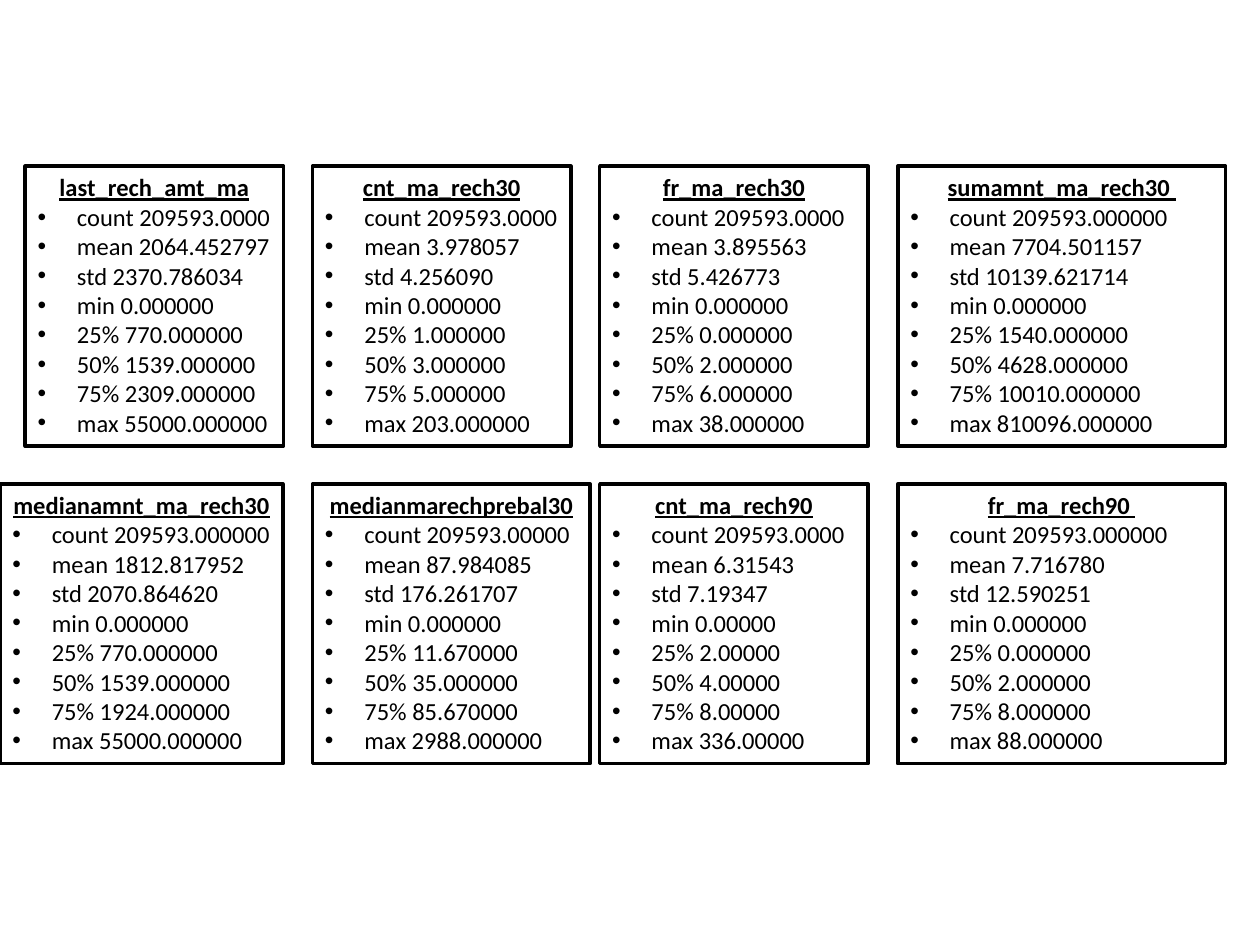
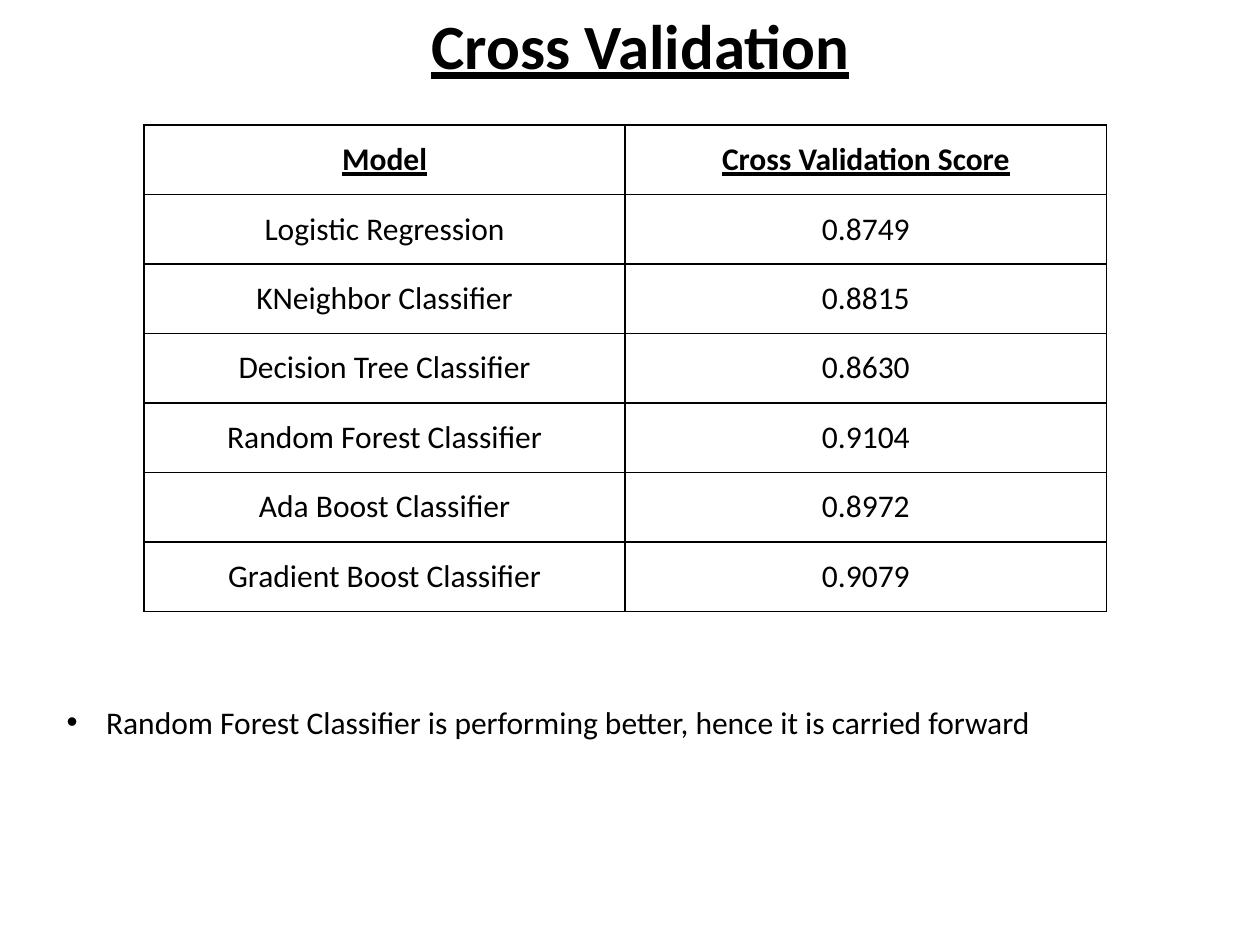
from lxml.etree import SubElement
from pptx import Presentation
from pptx.dml.color import RGBColor
from pptx.enum.shapes import MSO_SHAPE
from pptx.enum.text import MSO_ANCHOR, MSO_AUTO_SIZE, PP_ALIGN
from pptx.oxml import parse_xml
from pptx.oxml.ns import nsdecls, qn
from pptx.util import Pt

FONT = "Calibri"
COLOURS = {"ink": "000000", "paper": "FFFFFF"}
HANGING = 22.5

STATISTICS = ["count", "mean", "std", "min", "25%", "50%", "75%", "max"]
PANEL_HEIGHT = 160
UPPER_TOP, LOWER_TOP = 95, 276.5
PANELS = [
    (14.4, UPPER_TOP, 147.6, "last_rech_amt_ma",
     "209593.0000 2064.452797 2370.786034 0.000000 770.000000 1539.000000 2309.000000 55000.000000"),
    (178.6, UPPER_TOP, 147.6, "cnt_ma_rech30",
     "209593.0000 3.978057 4.256090 0.000000 1.000000 3.000000 5.000000 203.000000"),
    (342.7, UPPER_TOP, 153.4, "fr_ma_rech30",
     "209593.0000 3.895563 5.426773 0.000000 0.000000 2.000000 6.000000 38.000000"),
    (513.1, UPPER_TOP, 187.2, "sumamnt_ma_rech30 ",
     "209593.000000 7704.501157 10139.621714 0.000000 1540.000000 4628.000000 10010.000000 810096.000000"),
    (0, LOWER_TOP, 161.6, "medianamnt_ma_rech30",
     "209593.000000 1812.817952 2070.864620 0.000000 770.000000 1539.000000 1924.000000 55000.000000"),
    (178.6, LOWER_TOP, 158.6, "medianmarechprebal30",
     "209593.00000 87.984085 176.261707 0.000000 11.670000 35.000000 85.670000 2988.000000"),
    (342.7, LOWER_TOP, 153.4, "cnt_ma_rech90",
     "209593.0000 6.31543 7.19347 0.00000 2.00000 4.00000 8.00000 336.00000"),
    (513.1, LOWER_TOP, 187.2, "fr_ma_rech90 ",
     "209593.000000 7.716780 12.590251 0.000000 0.000000 2.000000 8.000000 88.000000"),
]

SCORES = [
    ("Model", "Cross Validation Score"),
    ("Logistic Regression", "0.8749"),
    ("KNeighbor Classifier", "0.8815"),
    ("Decision Tree Classifier", "0.8630"),
    ("Random Forest Classifier", "0.9104"),
    ("Ada Boost Classifier", "0.8972"),
    ("Gradient Boost Classifier", "0.9079"),
]
COLUMN_WIDTH, ROW_HEIGHT = 275, 39.7


def colour(name):
    """Return a palette colour."""
    return RGBColor.from_string(COLOURS[name])


def write(paragraph, text, size, heading=False):
    """Fill a paragraph, bold and underlined when it is a heading."""
    paragraph.text = text
    for run in paragraph.runs:
        run.font.name = FONT
        run.font.size = Pt(size)
        run.font.bold = heading
        run.font.underline = heading
        run.font.color.rgb = colour("ink")


def write_centred(paragraph, text, size, heading=False):
    """Fill a paragraph and centre it."""
    write(paragraph, text, size, heading)
    paragraph.alignment = PP_ALIGN.CENTER


def write_bullet(paragraph, text, size):
    """Fill a paragraph and give it a hanging bullet."""
    write(paragraph, text, size)
    paragraph.alignment = PP_ALIGN.LEFT
    properties = paragraph._p.get_or_add_pPr()
    properties.set("marL", str(Pt(HANGING)))
    properties.set("indent", str(-Pt(HANGING)))
    SubElement(properties, qn("a:buFont")).set("typeface", "Arial")
    SubElement(properties, qn("a:buChar")).set("char", "•")


def fit_frame(frame):
    """Wrap a text frame from the top and let its shape fit the text."""
    frame.word_wrap = True
    frame.vertical_anchor = MSO_ANCHOR.TOP
    frame.auto_size = MSO_AUTO_SIZE.SHAPE_TO_FIT_TEXT


def add_panel(slide, left, top, width, variable, values):
    """Draw an outlined panel listing the statistics of one variable."""
    panel = slide.shapes.add_shape(
        MSO_SHAPE.RECTANGLE, Pt(left), Pt(top), Pt(width), Pt(PANEL_HEIGHT))
    panel.shadow.inherit = False
    panel.fill.solid()
    panel.fill.fore_color.rgb = colour("paper")
    panel.line.color.rgb = colour("ink")
    panel.line.width = Pt(2)
    frame = panel.text_frame
    fit_frame(frame)
    write_centred(frame.paragraphs[0], variable, 14, heading=True)
    for statistic, value in zip(STATISTICS, values.split()):
        write_bullet(frame.add_paragraph(), f"{statistic} {value}", 14)


def add_text(slide, left, top, width, height):
    """Add a text box and return its first paragraph."""
    frame = slide.shapes.add_textbox(
        Pt(left), Pt(top), Pt(width), Pt(height)).text_frame
    fit_frame(frame)
    return frame.paragraphs[0]


def outline_cell(cell):
    """Clear the fill of a cell and rule its four sides."""
    cell.fill.background()
    properties = cell._tc.get_or_add_tcPr()
    for position, side in enumerate(("lnL", "lnR", "lnT", "lnB")):
        properties.insert(position, parse_xml(
            f'<a:{side} {nsdecls("a")} w="{Pt(1)}"><a:solidFill>'
            f'<a:srgbClr val="{COLOURS["ink"]}"/></a:solidFill></a:{side}>'))


def add_score_table(slide, left, top):
    """Draw the table of models and their scores."""
    columns = len(SCORES[0])
    table = slide.shapes.add_table(
        len(SCORES), columns, Pt(left), Pt(top),
        Pt(COLUMN_WIDTH * columns), Pt(ROW_HEIGHT * len(SCORES))).table
    for column in table.columns:
        column.width = Pt(COLUMN_WIDTH)
    for row_index, entries in enumerate(SCORES):
        table.rows[row_index].height = Pt(ROW_HEIGHT)
        for column_index, entry in enumerate(entries):
            cell = table.cell(row_index, column_index)
            cell.vertical_anchor = MSO_ANCHOR.MIDDLE
            write_centred(cell.text_frame.paragraphs[0], entry, 18,
                          heading=row_index == 0)
            outline_cell(cell)


def main():
    """Build both slides and save them."""
    deck = Presentation()
    deck.slide_width, deck.slide_height = Pt(720), Pt(540)
    blank = deck.slide_layouts[6]

    statistics_slide = deck.slides.add_slide(blank)
    for panel in PANELS:
        add_panel(statistics_slide, *panel)

    validation_slide = deck.slides.add_slide(blank)
    write_centred(add_text(validation_slide, 128, 0, 476, 51),
                  "Cross Validation", 36, heading=True)
    add_score_table(validation_slide, 82.3, 71.5)
    write_bullet(
        add_text(validation_slide, 31, 398.2, 675, 29),
        "Random Forest Classifier is performing better, hence it is carried forward", 18)

    deck.save("out.pptx")


if __name__ == "__main__":
    main()
